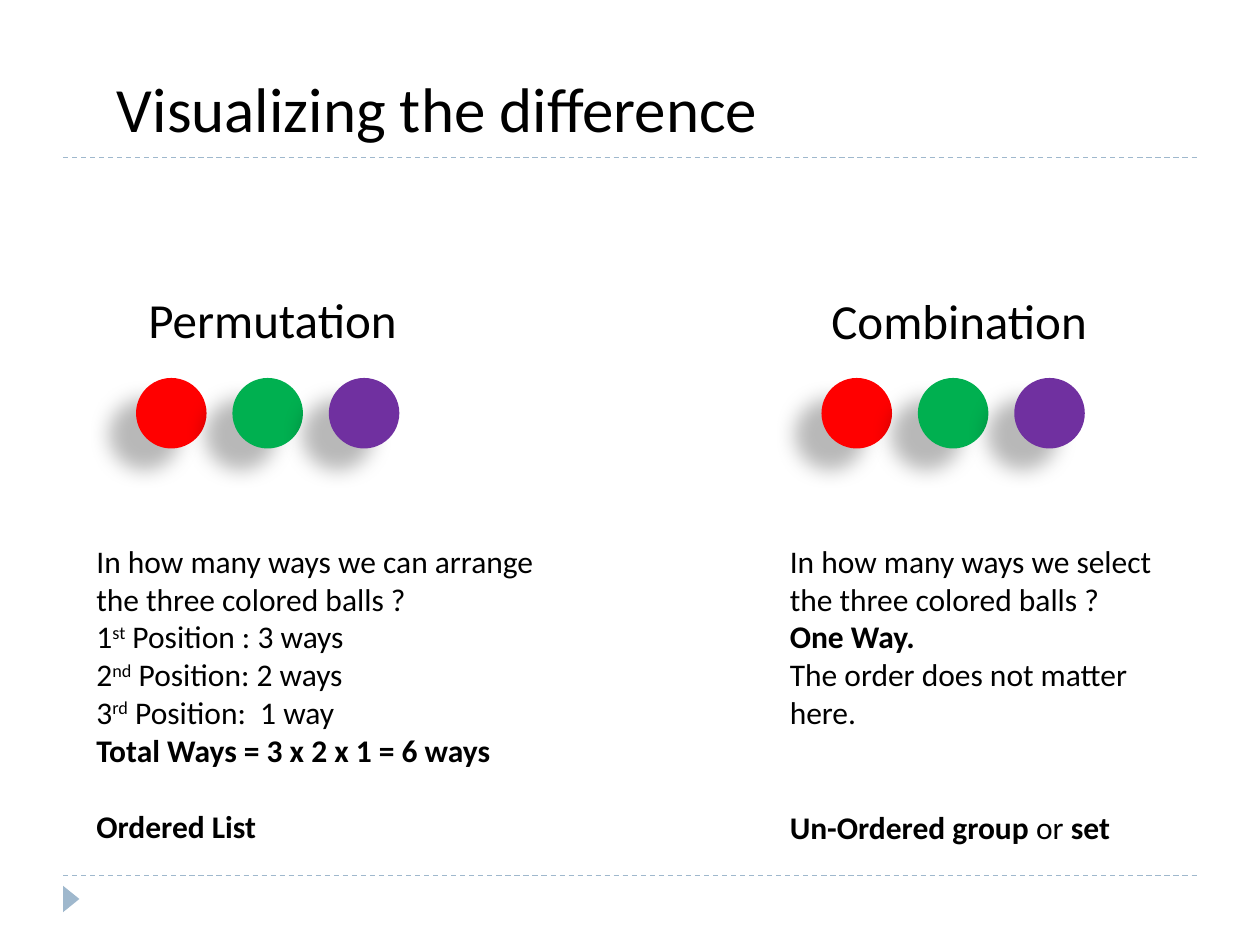
from dataclasses import dataclass
from lxml import etree
from pptx import Presentation
from pptx import util as u
from pptx.dml.color import RGBColor
from pptx.enum import dml, shapes, text
from pptx.oxml.ns import qn

WIDTH, HEIGHT = 10, 7.5
FONT, ACCENT = "Calibri", "9FB8CD"
BALL_COLOURS = ("FF0000", "00B050", "7030A0")
BALL_SIZE, BALL_PITCH, BALL_TOP = 0.56, 0.765, 0.4 * HEIGHT
BODY_SIZE, BODY_LINE = 18, 22  # points


@dataclass
class Span:
    text: str
    bold: bool = False
    raised: bool = False


@dataclass
class Line:
    spans: list[Span]
    lines_before: int = 0


@dataclass
class Column:
    heading: str
    heading_box: tuple[float, float, float, float]
    balls_left: float
    body_left: float
    body_width: float
    lines: list[Line]


def plain(wording: str) -> Line:
    return Line([Span(wording)])


def bold(wording: str, lines_before: int = 0) -> Line:
    return Line([Span(wording, bold=True)], lines_before)


def ordinal(number: str, suffix: str, rest: str) -> Line:
    return Line([Span(number), Span(suffix, raised=True), Span(rest)])


COLUMNS = [
    Column("Permutation", (1.08, 2.25, 2.19, 0.57), 1.08, WIDTH / 15, 4.25, [
        plain("In how many ways we can arrange"),
        plain("the three colored balls ?"),
        ordinal("1", "st", " Position : 3 ways"),
        ordinal("2", "nd", " Position: 2 ways"),
        ordinal("3", "rd", " Position:  1 way"),
        bold("Total Ways = 3 x 2 x 1 = 6 ways"),
        bold("Ordered List", lines_before=1),
    ]),
    Column("Combination", (6.5, 2.26, 2.25, 0.57), 6.52, WIDTH * 0.617, 3.33, [
        plain("In how many ways we select the three colored balls ?"),
        bold("One Way."),
        plain("The order does not matter here."),
        Line([Span("Un-Ordered group ", bold=True), Span("or "),
              Span("set", bold=True)], lines_before=2),
    ]),
]


def colour(value: str) -> RGBColor:
    return RGBColor.from_string(value)


def inches(*lengths: float) -> list[u.Emu]:
    return [u.Inches(length) for length in lengths]


def add_rule(slide, top: float) -> None:
    left, right = 0.05 * WIDTH, 0.95 * WIDTH
    rule = slide.shapes.add_connector(
        shapes.MSO_CONNECTOR.STRAIGHT, *inches(left, top, right, top))
    rule.line.color.rgb = colour(ACCENT)
    rule.line.width = u.Pt(0.75)
    rule.line.dash_style = dml.MSO_LINE.DASH
    etree.SubElement(rule._element.spPr, qn("a:effectLst"))


def add_filled(parent, kind, box: tuple[float, ...], fill: str):
    shape = parent.shapes.add_shape(kind, *inches(*box))
    shape.shadow.inherit = False
    shape.fill.solid()
    shape.fill.fore_color.rgb = colour(fill)
    shape.line.fill.background()
    return shape


def set_font(font, size: int) -> None:
    font.name = FONT
    font.size = u.Pt(size)
    font.color.rgb = colour("000000")


def add_text(slide, box: tuple[float, ...], lines: list[Line], size: int,
             wrap: bool = False) -> None:
    frame = slide.shapes.add_textbox(*inches(*box)).text_frame
    frame.word_wrap = wrap
    frame.auto_size = text.MSO_AUTO_SIZE.SHAPE_TO_FIT_TEXT
    for index, line in enumerate(lines):
        paragraph = frame.add_paragraph() if index else frame.paragraphs[0]
        set_font(paragraph.font, size)
        if line.lines_before:
            paragraph.space_before = u.Pt(line.lines_before * BODY_LINE)
        for span in line.spans:
            run = paragraph.add_run()
            run.text = span.text
            set_font(run.font, size)
            if span.bold:
                run.font.bold = True
            if span.raised:
                run._r.get_or_add_rPr().set("baseline", "30000")


def cast_shadow(shape) -> None:
    effects = shape._element.spPr.find(qn("a:effectLst"))
    shadow = etree.SubElement(
        effects, qn("a:outerShdw"), blurRad=str(u.Pt(11.8)),
        dist=str(u.Pt(19.7)), dir=str(141 * 60000), algn="ctr", rotWithShape="0")
    black = etree.SubElement(shadow, qn("a:srgbClr"), val="000000")
    etree.SubElement(black, qn("a:alpha"), val="28000")


def add_balls(slide, left: float) -> None:
    group = slide.shapes.add_group_shape()
    for index, fill in enumerate(BALL_COLOURS):
        box = (left + index * BALL_PITCH, BALL_TOP, BALL_SIZE, BALL_SIZE)
        cast_shadow(add_filled(group, shapes.MSO_SHAPE.OVAL, box, fill))


def main() -> None:
    presentation = Presentation()
    presentation.slide_width, presentation.slide_height = inches(WIDTH, HEIGHT)
    slide = presentation.slides.add_slide(presentation.slide_layouts[6])

    # Frame: two dashed rules and the corner marker
    for top in (6.95, HEIGHT / 6):
        add_rule(slide, top)
    marker = add_filled(slide, shapes.MSO_SHAPE.ISOSCELES_TRIANGLE,
                        (0.46, 7.07, 0.21, 0.13), ACCENT)
    marker.rotation = 90

    # Title
    add_text(slide, (0.83, 0.5, 5.34, 0.71),
             [plain("Visualizing the difference")], 36)

    # The two compared ideas
    for column in COLUMNS:
        add_text(slide, column.heading_box, [plain(column.heading)], 28)
        add_balls(slide, column.balls_left)
        add_text(slide, (column.body_left, 4.25, column.body_width, 2.52),
                 column.lines, BODY_SIZE, wrap=True)

    presentation.save("out.pptx")


if __name__ == "__main__":
    main()
